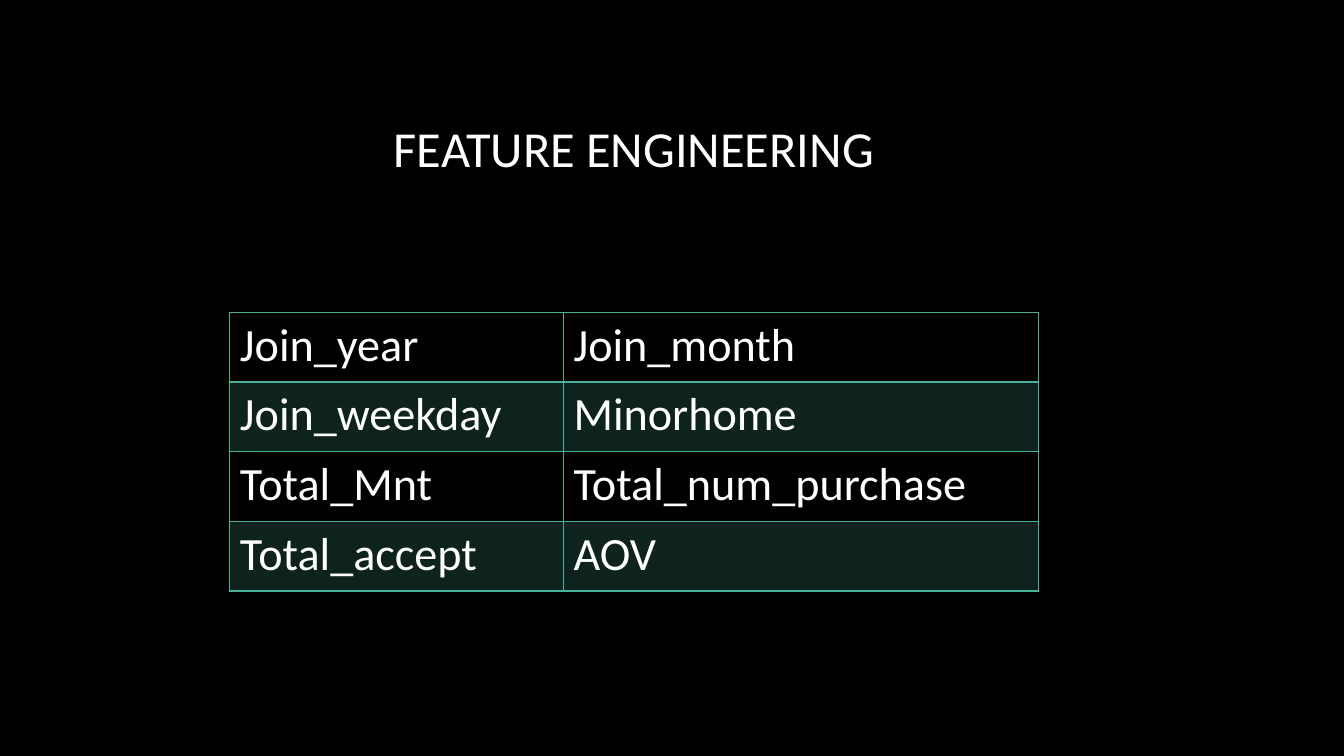
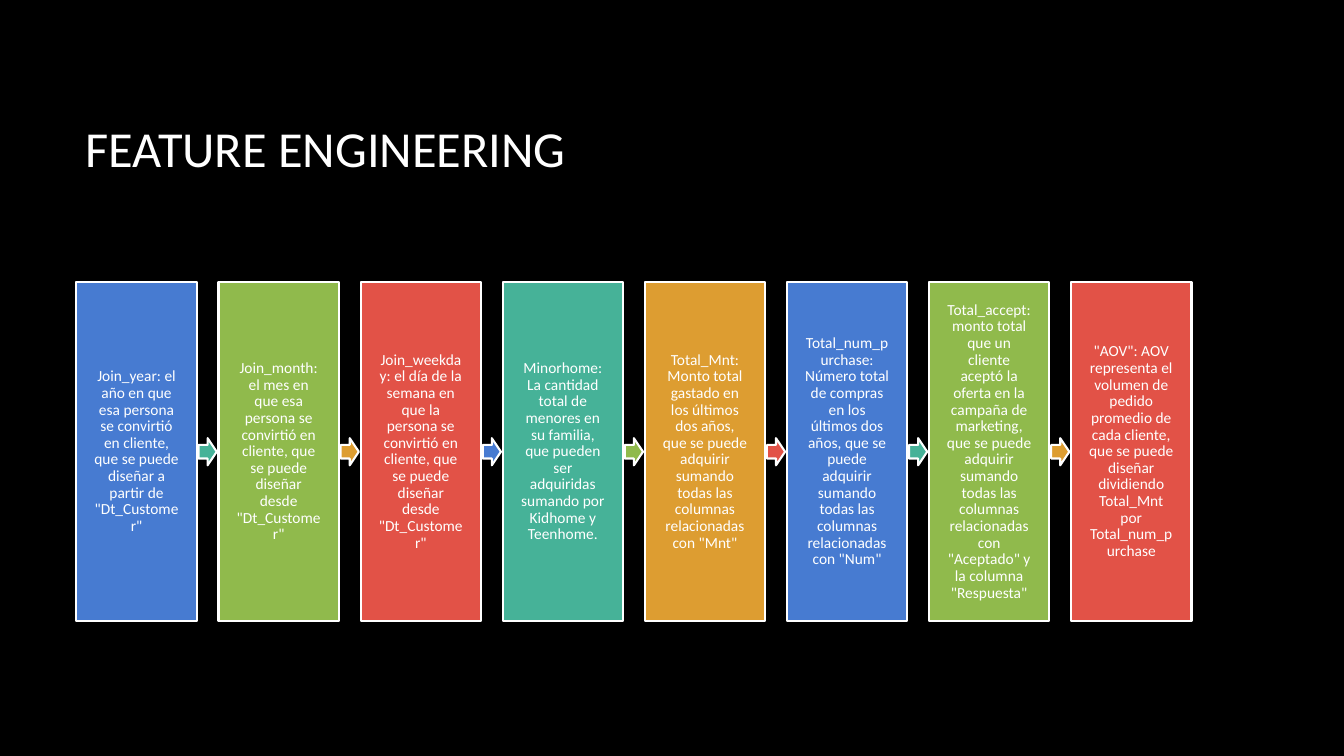
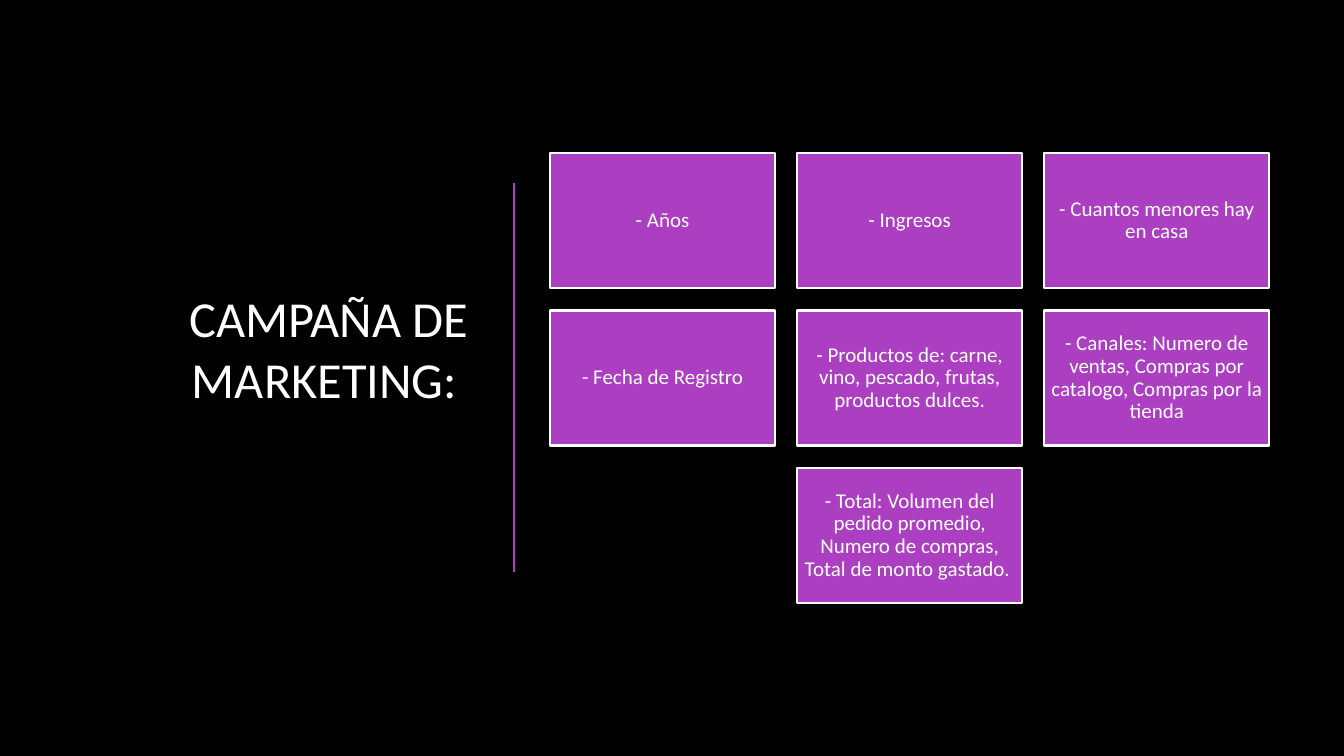
from pptx import Presentation
from pptx.dml.color import RGBColor
from pptx.enum.shapes import MSO_CONNECTOR, MSO_SHAPE
from pptx.enum.text import MSO_ANCHOR, MSO_AUTO_SIZE, PP_ALIGN
from pptx.oxml import parse_xml
from pptx.oxml.ns import nsdecls, qn
from pptx.util import Pt
from lxml.etree import SubElement

FONT = "Calibri"
COLORS = {
    "background": "000000",
    "text": "FFFFFF",
    "blue": "477BD1",
    "green": "90BA4C",
    "red": "E25247",
    "teal": "46B298",
    "orange": "DD9D31",
    "purple": "AC3EC1",
}
RGB = {name: RGBColor.from_string(value) for name, value in COLORS.items()}

prs = Presentation()
prs.slide_width, prs.slide_height = Pt(960), Pt(540)
fill = prs.slide_master.background.fill
fill.solid()
fill.fore_color.rgb = RGB["background"]


def add_run(p, text, size):
    r = p.add_run()
    r.text = text
    r.font.name = FONT
    r.font.size = Pt(size)
    r.font.color.rgb = RGB["text"]


def add_block(s, kind, box, color, text="", size=11, inset=0):
    """Add a filled shape with a white outline and optional centred text."""
    sp = s.shapes.add_shape(kind, *map(Pt, box))
    sp.shadow.inherit = False
    sp.fill.solid()
    sp.fill.fore_color.rgb = RGB[color]
    sp.line.color.rgb = RGB["text"]
    sp.line.width = Pt(1.5)
    if text:
        tf = sp.text_frame
        tf.word_wrap = True
        tf.vertical_anchor = MSO_ANCHOR.MIDDLE
        tf.margin_left = tf.margin_right = Pt(inset)
        tf.margin_top = tf.margin_bottom = Pt(inset)
        p = tf.paragraphs[0]
        p.alignment = PP_ALIGN.CENTER
        p.line_spacing = 0.9
        add_run(p, text, size)


# Slides with their titles
TOP_TITLE = (54, 48.2, 797.8, 114.5)
SIDE_TITLE = (54, 90.7, 288, 358.6)
titles = [
    ("FEATURE ENGINEERING", TOP_TITLE, PP_ALIGN.CENTER),
    ("FEATURE ENGINEERING", TOP_TITLE, PP_ALIGN.LEFT),
    ("CAMPAÑA DE MARKETING: ", SIDE_TITLE, PP_ALIGN.RIGHT),
]
slides = []
for text, box, align in titles:
    s = prs.slides.add_slide(prs.slide_layouts[5])
    title = s.shapes.title
    title.left, title.top, title.width, title.height = map(Pt, box)
    tf = title.text_frame
    tf.auto_size = MSO_AUTO_SIZE.NONE
    tf.vertical_anchor = MSO_ANCHOR.MIDDLE
    p = tf.paragraphs[0]
    p.alignment = align
    add_run(p, text, 36)
    slides.append(s)
table_slide, process_slide, campaign_slide = slides
p.add_line_break()
p._p.get_or_add_endParaRPr().set("sz", "3600")

# Slide 1: table of new features
features = [
    ("Join_year", "Join_month"),
    ("Join_weekday", "Minorhome"),
    ("Total_Mnt", "Total_num_purchase"),
    ("Total_accept", "AOV"),
]
ROW_H = 49.8
frame = table_slide.shapes.add_table(
    len(features), 2, Pt(164.2), Pt(223), Pt(577.4), Pt(ROW_H * len(features)))
table = frame.table
table.first_row = table.horz_banding = False
for column, width in zip(table.columns, (238.3, 339.1)):
    column.width = Pt(width)
for i, names in enumerate(features):
    table.rows[i].height = Pt(ROW_H)
    for j, name in enumerate(names):
        cell = table.cell(i, j)
        add_run(cell.text_frame.paragraphs[0], name, 33)
        tcPr = cell._tc.get_or_add_tcPr()
        if i % 2:
            cell.fill.solid()
            cell.fill.fore_color.rgb = RGB["teal"]
            tint = tcPr.find(".//" + qn("a:srgbClr"))
            SubElement(tint, qn("a:alpha"), val="20000")
        else:
            cell.fill.background()
        below_header = {(0, "B"), (1, "T")}
        for k, side in enumerate("LRTB"):
            width = Pt(2 if (i, side) in below_header else 1)
            tcPr.insert(k, parse_xml(
                f'<a:ln{side} {nsdecls("a")} w="{width}"><a:solidFill>'
                f'<a:srgbClr val="{COLORS["teal"]}"/></a:solidFill></a:ln{side}>'))

# Slide 2: process of eight steps joined by arrows
steps = [
    'Join_year: el año en que esa persona se convirtió en cliente, '
    'que se puede diseñar a partir de "Dt_Customer"',
    'Join_month: el mes en que esa persona se convirtió en cliente, '
    'que se puede diseñar desde "Dt_Customer"',
    'Join_weekday: el día de la semana en que la persona se convirtió en cliente, '
    'que se puede diseñar desde "Dt_Customer"',
    'Minorhome: La cantidad total de menores en su familia, '
    'que pueden ser adquiridas sumando por Kidhome y Teenhome.',
    'Total_Mnt: Monto total gastado en los últimos dos años, '
    'que se puede adquirir sumando todas las columnas relacionadas con "Mnt"',
    'Total_num_purchase: Número total de compras en los últimos dos años, '
    'que se puede adquirir sumando todas las columnas relacionadas con "Num"',
    'Total_accept: monto total que un cliente aceptó la oferta en la campaña de '
    'marketing, que se puede adquirir sumando todas las columnas relacionadas con '
    '"Aceptado" y la columna "Respuesta"',
    '"AOV": AOV representa el volumen de pedido promedio de cada cliente, '
    'que se puede diseñar dividiendo Total_Mnt por Total_num_purchase',
]
cycle = ["blue", "green", "red", "teal", "orange"]
for i, text in enumerate(steps):
    x = 54.6 + 101.5 * i
    add_block(process_slide, MSO_SHAPE.RECTANGLE, (x, 201.6, 86, 242),
              cycle[i % 5], text, 11, 12.2)
    if i < len(steps) - 1:
        add_block(process_slide, MSO_SHAPE.RIGHT_ARROW, (x + 87.2, 313, 13, 19.4),
                  cycle[(i + 3) % 5])

# Slide 3: divider and rows of cards, each row centred
divider = campaign_slide.shapes.add_connector(
    MSO_CONNECTOR.STRAIGHT, Pt(367.2), Pt(131), Pt(367.2), Pt(408.6))
divider.line.color.rgb = RGB["purple"]
divider.line.width = Pt(1.5)
SubElement(divider._element.spPr, qn("a:effectLst"))

card_rows = [
    ["- Años", "- Ingresos", "- Cuantos menores hay en casa"],
    ["- Fecha de Registro",
     "- Productos de: carne, vino, pescado, frutas, productos dulces.",
     "- Canales: Numero de ventas, Compras por catalogo, Compras por la tienda"],
    ["- Total: Volumen del pedido promedio, Numero de compras, "
     "Total de monto gastado. "],
]
for i, row in enumerate(card_rows):
    first = (3 - len(row)) / 2
    for j, text in enumerate(row):
        box = (393 + 176.5 * (first + j), 109.4 + 112.4 * i, 160.6, 96.4)
        add_block(campaign_slide, MSO_SHAPE.RECTANGLE, box, "purple", text, 15, 4.4)

prs.save("out.pptx")
